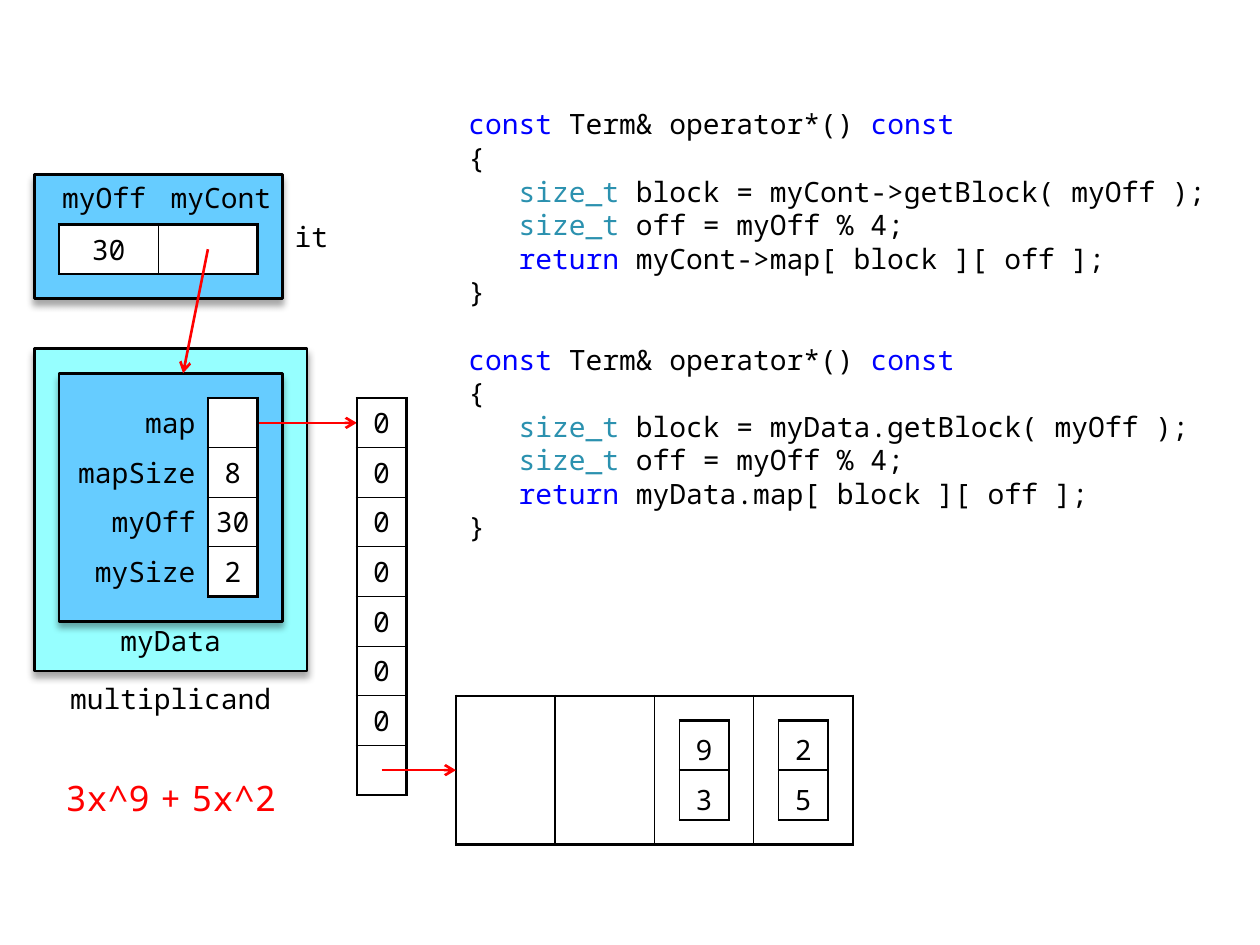
from itertools import groupby
from lxml.etree import SubElement
from pptx import Presentation
from pptx.dml.color import RGBColor
from pptx.enum.shapes import MSO_CONNECTOR, MSO_SHAPE
from pptx.enum.text import MSO_ANCHOR, PP_ALIGN
from pptx.oxml.ns import qn
from pptx.util import Pt

THEME = {
    "font": "Noto Sans Mono", "size": 16, "big": 20, "gap": 10, "line": 19.2,
    "black": "000000", "white": "FFFFFF", "red": "FF0000",
    "aqua": "96FFFF", "sky": "66CCFF", "blue": "0000FF", "teal": "2B91AF",
}
UNIT, LEFT, TOP = 28.35, 19.6, 99.9
MID, LOW, HIGH = MSO_ANCHOR.MIDDLE, MSO_ANCHOR.BOTTOM, MSO_ANCHOR.TOP
C, R, L = PP_ALIGN.CENTER, PP_ALIGN.RIGHT, PP_ALIGN.LEFT

WORDS = {"const": "blue", "return": "blue", "size_t": "teal"}
CODE = [
    "const Term& operator*() const",
    "{",
    "   size_t block = {ref}getBlock( myOff );",
    "   size_t off = myOff % 4;",
    "   return {ref}map[ block ][ off ];",
    "}",
]
REFS = ["myCont->", "myData."]
SUM = [("3x^9", "big"), (" ", "gap"), ("+", "big"), (" ", "gap"), ("5x^2", "big")]

BOXES = [
    (0, 3.5, 5.5, 6.5, "aqua"),
    (0.5, 4, 4.5, 5, "sky"),
    (0, 0, 5, 2.5, "sky"),
]
LABELS = [
    ("multiplicand", 0, 10, 5.5, 1, C, LOW, (6, 3.6, 6, 2.9)),
    ("myData", 1.5, 9, 2.5, 1, C, HIGH, (6, 1.4, 6, 0)),
    ("it", 5, 0.5, 1.5, 1.5, L, MID, (7.2, 2.9, 6, 2.9)),
    ("myCont", 2.5, 0, 2.5, 1, L, HIGH, (7.2, 3.6, 5.7, 3.6)),
    ("myOff", 0, 0, 2.5, 1, R, HIGH, (7.2, 3.6, 7.2, 3.6)),
]
STATE = [["map", ""], ["mapSize", "8"], ["myOff", "30"], ["mySize", "2"]]
TABLES = [
    dict(x=6.5, y=4.5, cols=[1], high=1, rows=[["0"]] * 7 + [[""]]),
    dict(x=0.5, y=4.5, cols=[3, 1], high=1, rows=STATE, fill="white", names=True),
    dict(x=0.5, y=1, cols=[2, 2], high=1, rows=[["30", ""]], fill="white"),
    dict(x=8.5, y=10.5, cols=[2] * 4, high=3, rows=[[""] * 4], inner=1),
    dict(x=13, y=11, cols=[1], high=1, rows=[["9"], ["3"]], side=1, inner=1.5, lead=1.25),
    dict(x=15, y=11, cols=[1], high=1, rows=[["2"], ["5"]], side=1, inner=1.5, lead=1.25),
]
ARROWS = [(4, 5, 6.5, 5), (7, 12, 8.5, 12), (3.5, 1.5, 3, 4)]


def color(key):
    return RGBColor.from_string(THEME[key])


def place(x, y, w, h):
    return Pt(LEFT + x * UNIT), Pt(TOP + y * UNIT), Pt(w * UNIT), Pt(h * UNIT)


def style(para, tint="black", align=L):
    para.alignment = align
    para.font.name = THEME["font"]
    para.font.size = Pt(THEME["size"])
    para.font.color.rgb = color(tint)


def text_box(shapes, spot, pads=(7.2, 3.6, 7.2, 3.6), wrap=True):
    frame = shapes.add_textbox(*spot).text_frame
    frame.word_wrap = wrap
    (frame.margin_left, frame.margin_top,
     frame.margin_right, frame.margin_bottom) = map(Pt, pads)
    return frame


def add_box(shapes, x, y, w, h, fill):
    box = shapes.add_shape(MSO_SHAPE.FLOWCHART_PROCESS, *place(x, y, w, h))
    box.fill.solid()
    box.fill.fore_color.rgb = color(fill)
    box.line.color.rgb = color("black")
    box.line.width = Pt(1.5)
    box.shadow.inherit = False
    glow = SubElement(box.element.spPr.find(qn("a:effectLst")), qn("a:outerShdw"),
                      blurRad=str(Pt(4)), dist=str(Pt(3)), dir="5400000", rotWithShape="0")
    tint = SubElement(glow, qn("a:srgbClr"), val=THEME["black"])
    SubElement(tint, qn("a:alpha"), val="35000")


def add_arrow(shapes, x1, y1, x2, y2):
    start, end = place(x1, y1, 0, 0)[:2], place(x2, y2, 0, 0)[:2]
    arrow = shapes.add_connector(MSO_CONNECTOR.STRAIGHT, *start, *end)
    arrow.line.color.rgb = color("red")
    arrow.line.width = Pt(1.5)
    SubElement(arrow.line._get_or_add_ln(), qn("a:tailEnd"), type="arrow")
    SubElement(arrow._element.spPr, qn("a:effectLst"))


def add_edges(cell, sides):
    props = cell._tc.get_or_add_tcPr()
    for spot, (name, width) in enumerate(sides.items()):
        edge = SubElement(props, qn("a:ln" + name), w=str(Pt(width)))
        props.insert(spot, edge)
        if width:
            fill = SubElement(edge, qn("a:solidFill"))
            SubElement(fill, qn("a:srgbClr"), val=THEME["black"])
        else:
            SubElement(edge, qn("a:noFill"))


def add_grid(shapes, x, y, cols, high, rows, fill=None, names=False,
             side=1.5, inner=0.75, lead=None):
    spot = place(x, y, sum(cols), high * len(rows))
    grid = shapes.add_table(len(rows), len(cols), *spot).table
    grid.first_row = grid.horz_banding = False
    for col, wide in zip(grid.columns, cols):
        col.width = Pt(wide * UNIT)
    for i, row in enumerate(rows):
        grid.rows[i].height = Pt(high * UNIT)
        for j, text in enumerate(row):
            cell = grid.cell(i, j)
            bare = names and j == 0
            cell.vertical_anchor = MID
            cell.margin_left = cell.margin_top = cell.margin_bottom = 0
            cell.margin_right = Pt(7.2 if bare else 0)
            para = cell.text_frame.paragraphs[0]
            para.text = text
            style(para, align=R if bare else C)
            if lead:
                para.line_spacing = lead
            if fill and not bare:
                cell.fill.solid()
                cell.fill.fore_color.rgb = color(fill)
            else:
                cell.fill.background()
            first = j == (1 if names else 0)
            last = j == len(row) - 1
            sides = {
                "L": side if first else inner,
                "R": side if last else inner,
                "T": inner if i else 1.5,
                "B": 1.5 if i == len(rows) - 1 else inner,
            }
            add_edges(cell, {"L": 0, "R": side, "T": 0, "B": 0} if bare else sides)


def add_code(shapes):
    frame = text_box(shapes, (Pt(260.6), Pt(57.6), Pt(439.2), Pt(254.9)))
    lines = [line.replace("{ref}", ref) for ref in REFS for line in CODE]
    for i, line in enumerate(lines):
        para = frame.add_paragraph() if i else frame.paragraphs[0]
        style(para)
        para.line_spacing = Pt(THEME["line"])
        if i == len(CODE):
            para.space_before = Pt(THEME["line"])
        parts = [(key, " ".join(group)) for key, group in
                 groupby(line.split(" "), lambda word: WORDS.get(word, "black"))]
        for j, (key, text) in enumerate(parts):
            run = para.add_run()
            run.text = text + (" " if j < len(parts) - 1 else "")
            run.font.color.rgb = color(key)


def main():
    deck = Presentation()
    deck.slide_width, deck.slide_height = Pt(720), Pt(540)
    shapes = deck.slides.add_slide(deck.slide_layouts[6]).shapes
    add_code(shapes)
    for box in BOXES:
        add_box(shapes, *box)
    add_arrow(shapes, *ARROWS[0])
    for grid in TABLES:
        add_grid(shapes, **grid)
    for text, x, y, w, h, align, anchor, pads in LABELS:
        frame = text_box(shapes, place(x, y, w, h), pads)
        frame.vertical_anchor = anchor
        frame.text = text
        style(frame.paragraphs[0], align=align)
    para = text_box(shapes, place(0, 12, 5.5, 1), wrap=False).paragraphs[0]
    style(para, "red", C)
    for text, size in SUM:
        run = para.add_run()
        run.text = text
        run.font.size = Pt(THEME[size])
    for arrow in ARROWS[1:]:
        add_arrow(shapes, *arrow)
    deck.save("out.pptx")


if __name__ == "__main__":
    main()
